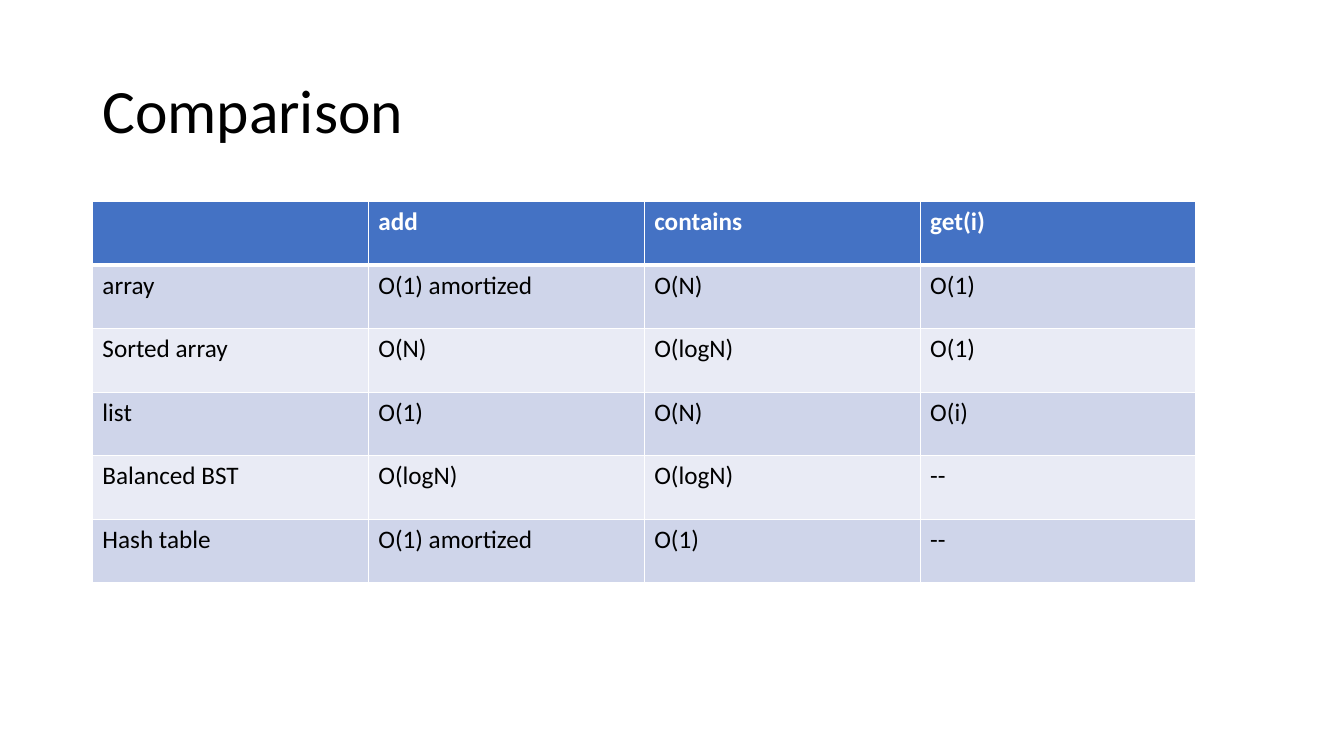
from lxml import etree
from pptx import Presentation
from pptx.dml.color import RGBColor
from pptx.enum.text import MSO_ANCHOR
from pptx.oxml.ns import qn
from pptx.util import Pt

MIDDLE = MSO_ANCHOR.MIDDLE

TITLE = "Comparison"
ROWS = [
    ("", "add", "contains", "get(i)"),
    ("array", "O(1) amortized", "O(N)", "O(1)"),
    ("Sorted array", "O(N)", "O(logN)", "O(1)"),
    ("list", "O(1)", "O(N)", "O(i)"),
    ("Balanced BST", "O(logN)", "O(logN)", "--"),
    ("Hash table", "O(1) amortized", "O(1)", "--"),
]

FONT = "Calibri"
BLACK, WHITE = "000000", "FFFFFF"
HEADER_FILL = "4472C4"
BAND_FILLS = ("CFD5EA", "E9EBF5")

LEFT = 66
TITLE_TOP, TITLE_WIDTH, TITLE_HEIGHT = 28.8, 828, 104.4
TABLE_TOP, COLUMN_WIDTH, ROW_HEIGHT = 144, 197.1, 45.4
THIN, THICK = 1, 3


def color(value):
    return RGBColor.from_string(value)


def write(frame, text, *, size, ink=BLACK, bold=False, spacing=None):
    para = frame.paragraphs[0]
    para.line_spacing = spacing
    para.font.size = Pt(size)
    if text:
        span = para.add_run()
        span.text = text
        span.font.name = FONT
        span.font.size = Pt(size)
        span.font.bold = bold
        span.font.color.rgb = color(ink)


def add_borders(cell, **widths):
    """Draw white cell edges; widths in points are keyed by side: L, R, T, B."""
    properties = cell._tc.get_or_add_tcPr()
    for side in "LRTB":
        width = Pt(widths.get(side, THIN))
        line = etree.SubElement(properties, qn(f"a:ln{side}"), w=str(width))
        fill = etree.SubElement(line, qn("a:solidFill"))
        etree.SubElement(fill, qn("a:srgbClr"), val=WHITE)


def add_title(page):
    box = page.shapes.add_textbox(
        Pt(LEFT), Pt(TITLE_TOP), Pt(TITLE_WIDTH), Pt(TITLE_HEIGHT))
    frame = box.text_frame
    frame.word_wrap = True
    frame.vertical_anchor = MIDDLE
    write(frame, TITLE, size=44, spacing=0.9)


def add_comparison(page):
    row_count, column_count = len(ROWS), len(ROWS[0])
    table = page.shapes.add_table(
        row_count, column_count, Pt(LEFT), Pt(TABLE_TOP),
        Pt(COLUMN_WIDTH * column_count), Pt(ROW_HEIGHT * row_count)).table
    for column in table.columns:
        column.width = Pt(COLUMN_WIDTH)
    for row_index, texts in enumerate(ROWS):
        table.rows[row_index].height = Pt(ROW_HEIGHT)
        header = row_index == 0
        fill = HEADER_FILL if header else BAND_FILLS[(row_index - 1) % 2]
        for column_index, text in enumerate(texts):
            cell = table.cell(row_index, column_index)
            add_borders(cell, T=THICK if row_index == 1 else THIN,
                        B=THICK if header else THIN)
            cell.fill.solid()
            cell.fill.fore_color.rgb = color(fill)
            write(cell.text_frame, text, size=18,
                  ink=WHITE if header else BLACK, bold=header)


def main():
    deck = Presentation()
    deck.slide_width, deck.slide_height = Pt(960), Pt(540)
    page = deck.slides.add_slide(deck.slide_layouts[6])
    add_title(page)
    add_comparison(page)
    deck.save("out.pptx")


if __name__ == "__main__":
    main()
